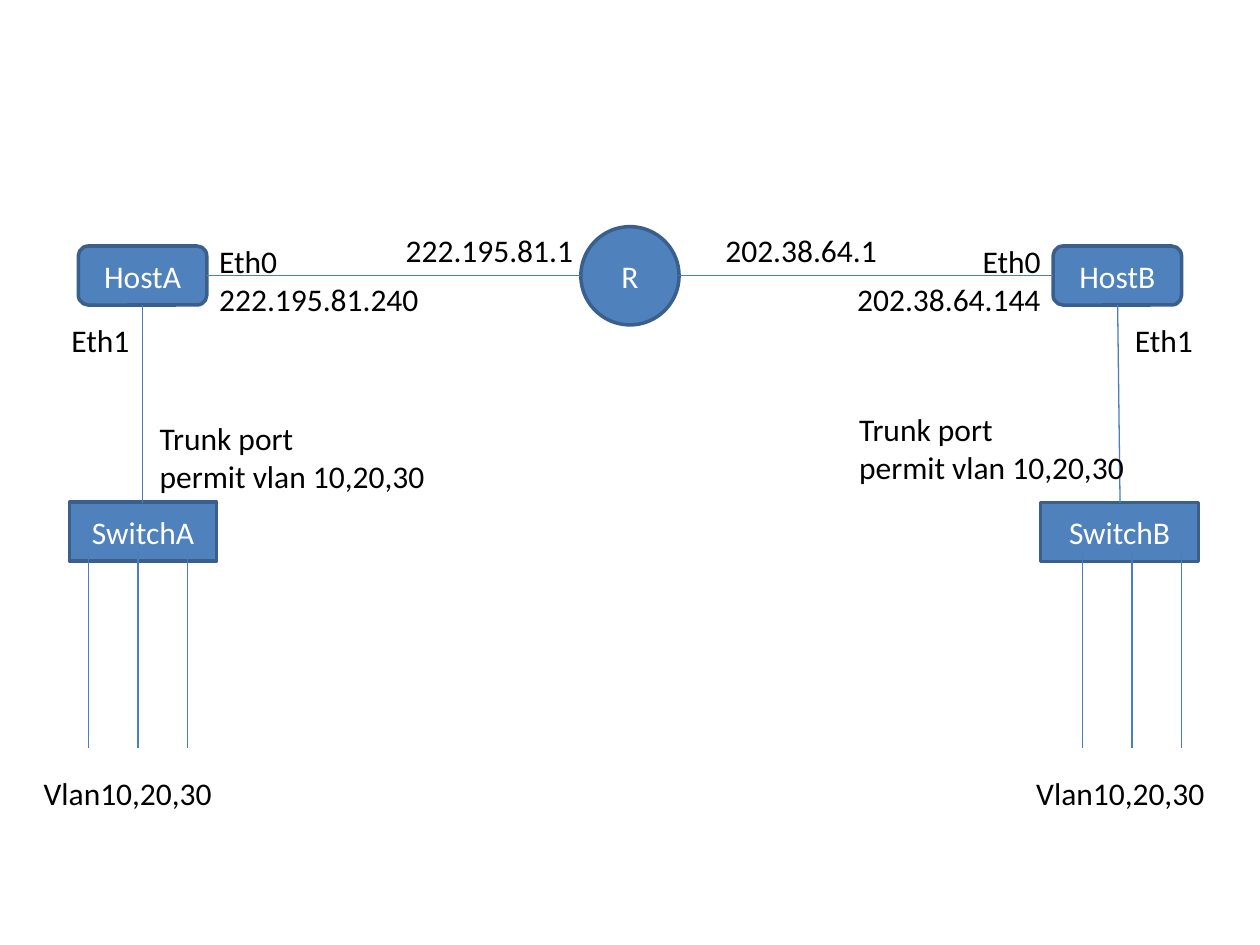
from dataclasses import dataclass
from lxml.etree import SubElement
from pptx import Presentation
from pptx.dml.color import RGBColor as Rgb
from pptx.enum.shapes import MSO_CONNECTOR as Conn, MSO_SHAPE as Geo
from pptx.enum.text import MSO_ANCHOR as Anchor, MSO_AUTO_SIZE as Fit, PP_ALIGN as Align
from pptx.oxml.ns import qn
from pptx.util import Cm, Pt


@dataclass
class Theme:
    font: str = "Calibri"
    size: Pt = Pt(18)
    fill: Rgb = Rgb(0x4F, 0x81, 0xBD)
    edge: Rgb = Rgb(0x3A, 0x5F, 0x8C)
    wire: Rgb = Rgb(0x4B, 0x7E, 0xBC)
    ink: Rgb = Rgb(0, 0, 0)
    light: Rgb = Rgb(255, 255, 255)


theme = Theme()
nodes = [
    ("HostA", Geo.ROUNDED_RECTANGLE, 1.58, 4.96, 2.59, 1.19),
    ("R", Geo.OVAL, 11.71, 4.57, 1.98, 1.98),
    ("HostB", Geo.ROUNDED_RECTANGLE, 21.23, 4.96, 2.59, 1.19),
    ("SwitchA", Geo.RECTANGLE, 1.4, 10.12, 2.97, 1.19),
    ("SwitchB", Geo.RECTANGLE, 20.98, 10.13, 3.18, 1.19),
]
links = [
    (4.16, 5.56, 11.71, 5.56),
    (21.23, 5.56, 13.69, 5.56),
    (2.87, 6.15, 2.87, 10.13),
    (22.53, 6.15, 22.58, 10.13),
]
ports = {"left": [1.78, 21.82], "gap": 1, "count": 3, "top": 11.13, "end": 15.08}
trunk = "Trunk port\npermit vlan 10,20,30"
vlans = "Vlan10,20,30"
labels = [
    ("Eth0\n222.195.81.240", 4.17, 4.75, 4.57, Align.LEFT),
    ("Eth0\n202.38.64.144", 16.99, 4.75, 4.24, Align.RIGHT),
    ("Eth1", 1.19, 6.35, 1.7, Align.LEFT),
    ("Eth1", 22.63, 6.35, 1.7, Align.LEFT),
    (vlans, 0.63, 15.47, 3.94, Align.LEFT),
    (vlans, 20.64, 15.47, 3.94, Align.LEFT),
    (trunk, 2.97, 8.33, 5.92, Align.LEFT),
    (trunk, 17.07, 8.14, 5.92, Align.LEFT),
    ("222.195.81.1", 7.93, 4.53, 3.91, Align.LEFT),
    ("202.38.64.1", 13.69, 4.53, 4.24, Align.RIGHT),
]

deck = Presentation()
deck.slide_width, deck.slide_height = Cm(25.4), Cm(19.05)
slide = deck.slides.add_slide(deck.slide_layouts[6])
shapes = slide.shapes


def write(frame, text, color, align):
    frame.text = text
    for para in frame.paragraphs:
        para.alignment = align
        for run in para.runs:
            run.font.name = theme.font
            run.font.size = theme.size
            run.font.color.rgb = color


def add_node(text, geo, *box):
    node = shapes.add_shape(geo, *map(Cm, box))
    node.shadow.inherit = False
    node.fill.solid()
    node.fill.fore_color.rgb = theme.fill
    node.line.color.rgb = theme.edge
    node.line.width = Pt(2)
    node.text_frame.vertical_anchor = Anchor.MIDDLE
    write(node.text_frame, text, theme.light, Align.CENTER)


def add_link(*ends):
    link = shapes.add_connector(Conn.STRAIGHT, *map(Cm, ends))
    link.line.color.rgb = theme.wire
    link.line.width = Pt(0.75)
    SubElement(link._element.spPr, qn("a:effectLst"))


def add_label(text, left, top, width, align):
    height = 1.02 + 0.78 * text.count("\n")
    label = shapes.add_textbox(*map(Cm, (left, top, width, height)))
    frame = label.text_frame
    frame.word_wrap = False
    frame.auto_size = Fit.SHAPE_TO_FIT_TEXT
    write(frame, text, theme.ink, align)


for node in nodes:
    add_node(*node)
for link in links:
    add_link(*link)
for left in ports["left"]:
    for i in range(ports["count"]):
        x = left + i * ports["gap"]
        add_link(x, ports["top"], x, ports["end"])
for label in labels:
    add_label(*label)

deck.save("out.pptx")
